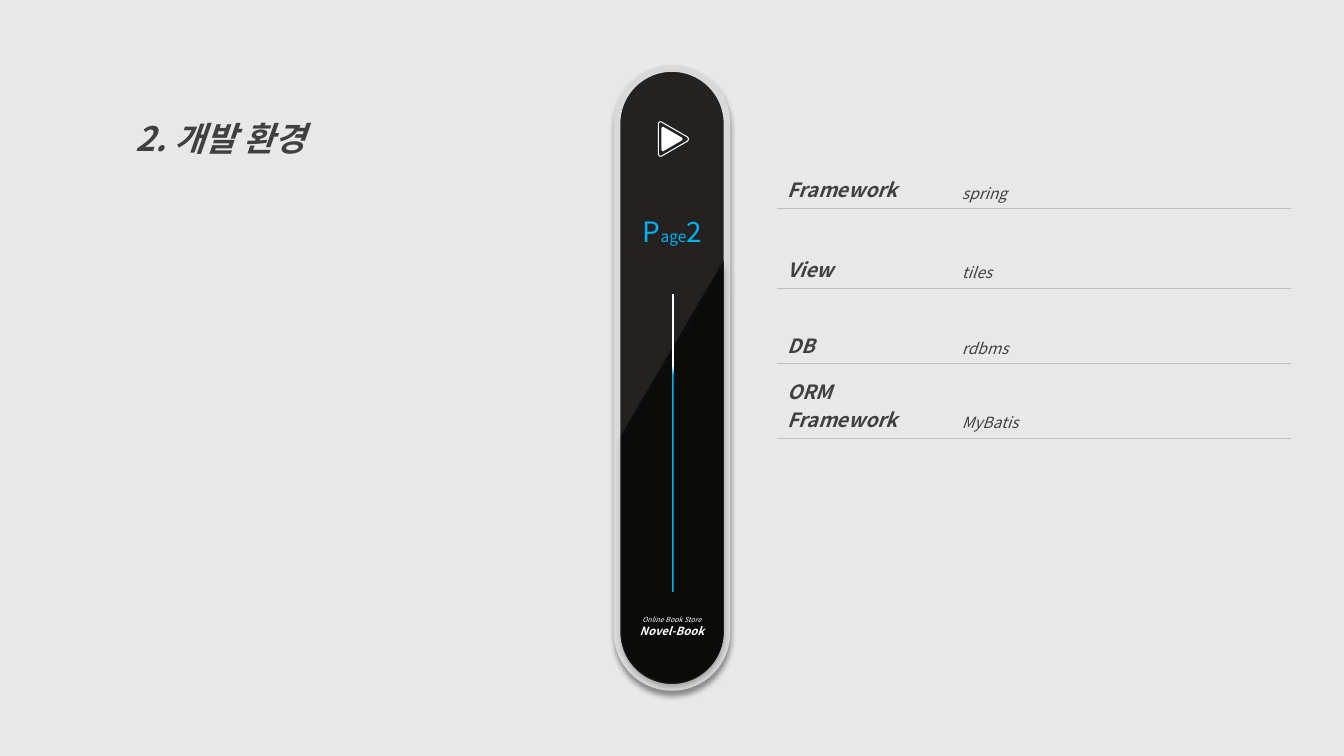
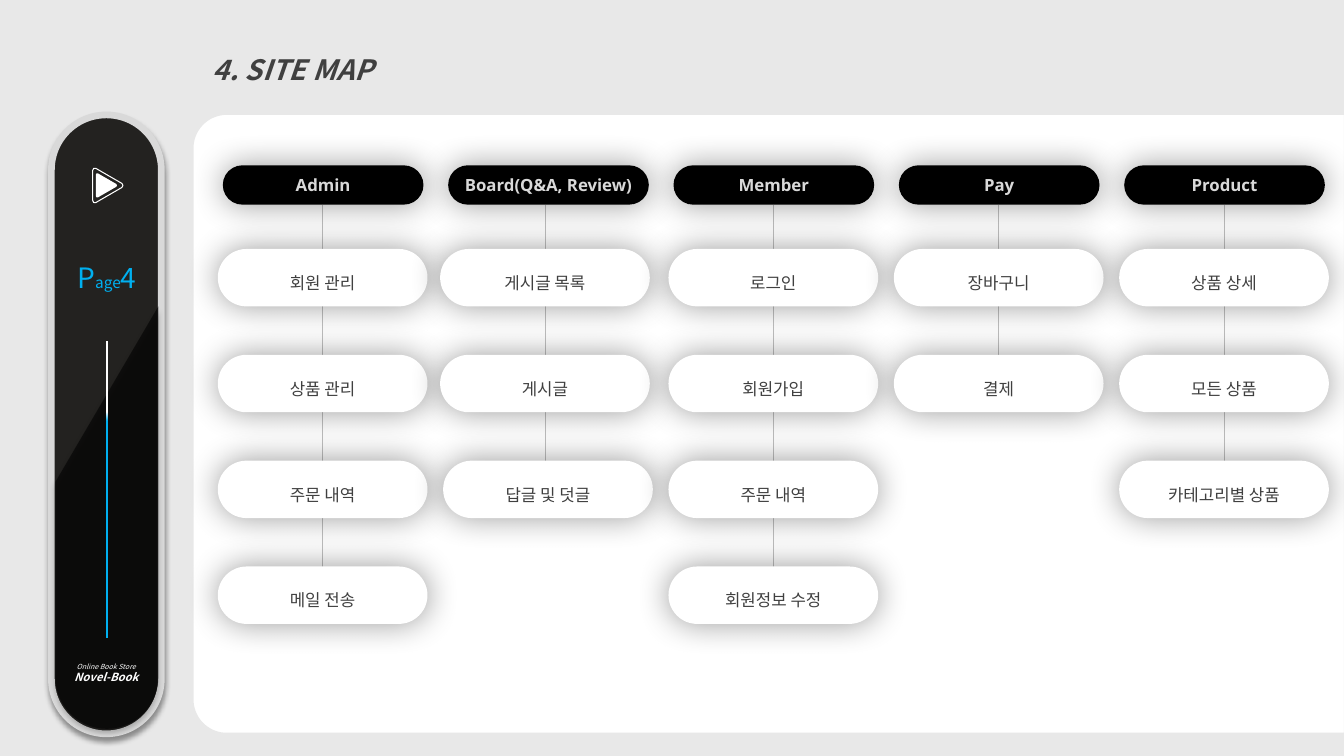
from dataclasses import dataclass
from math import cos, radians, sin
from typing import Any, NamedTuple

from lxml import etree
from pptx import Presentation
from pptx.dml.color import RGBColor
from pptx.enum.shapes import MSO_CONNECTOR, MSO_SHAPE
from pptx.enum.text import MSO_ANCHOR, PP_ALIGN
from pptx.oxml.ns import qn
from pptx.util import Inches, Pt

ROUNDED = MSO_SHAPE.ROUNDED_RECTANGLE
RECTANGLE = MSO_SHAPE.RECTANGLE
STRAIGHT = MSO_CONNECTOR.STRAIGHT
MIDDLE, BOTTOM = MSO_ANCHOR.MIDDLE, MSO_ANCHOR.BOTTOM
LEFT, CENTER = PP_ALIGN.LEFT, PP_ALIGN.CENTER

WIDTH, HEIGHT = 13.33, 7.5
KOREAN_FONT, LATIN_FONT = "Noto Sans CJK KR", "Open Sans"
PAPER, WHITE, BLACK = "E8E8E8", "FFFFFF", "000000"
INK, SILVER, RULE = "404040", "D9D9D9", "BFBFBF"
CHARCOAL, BLUE = "232220", "00B0F0"
NO_GRID_STYLE = "{2D5ABB26-0587-4C30-8999-92F81FD0307C}"

Point = tuple[float, float]


class Box(NamedTuple):
    left: float
    top: float
    width: float
    height: float


class Shadow(NamedTuple):
    blur: float
    distance: float
    angle: int


@dataclass(frozen=True)
class TextStyle:
    size: float
    color: str = INK
    bold: bool = False
    italic: bool = False
    font: str = KOREAN_FONT
    spacing: float = 1.0


@dataclass(frozen=True)
class SiteColumn:
    heading: str
    pages: tuple[str, ...]
    shifts: tuple[float, ...] = (0, 0, 0, 0)


BAR_SHADOW = Shadow(4, 3, 90)
PILL_SHADOW = Shadow(24, 0, 0)
SECTION_TITLE = TextStyle(24, bold=True, italic=True, spacing=1.5)
MAP_TITLE = TextStyle(20, bold=True, italic=True, spacing=1.5)
TAGLINE = TextStyle(5, WHITE, italic=True)
STORE_NAME = TextStyle(8, WHITE, bold=True, italic=True)
PAGE_LARGE = TextStyle(20, BLUE)
PAGE_SMALL = TextStyle(11, BLUE)
TOOL_KIND = TextStyle(14, bold=True, italic=True)
TOOL_NAME = TextStyle(11, italic=True, spacing=1.5)
HEADING = TextStyle(12, SILVER, bold=True, font=LATIN_FONT)
CARD = TextStyle(12, font=LATIN_FONT, spacing=1.5)

PLAY_OUTLINE = [(0.29, 0.15), (0.03, 0), (0.01, 0), (0, 0.02), (0, 0.32),
                (0.01, 0.34), (0.03, 0.34), (0.29, 0.19), (0.3, 0.17)]
TOOLS = [("Framework", "spring"), ("View", "tiles"), ("DB", "rdbms"), ("ORM Framework", "MyBatis")]
TOOL_ROWS = [0.86, 0.79, 0.75, 0.74]
TOOL_COLUMNS = [1.73, 3.36]
SITE_COLUMNS = [
    SiteColumn("Admin", ("회원 관리", "상품 관리", "주문 내역", "메일 전송")),
    SiteColumn("Board(Q&A, Review)", ("게시글 목록", "게시글", "답글 및 덧글"), (-0.03, -0.03, 0)),
    SiteColumn("Member", ("로그인", "회원가입", "주문 내역", "회원정보 수정")),
    SiteColumn("Pay", ("장바구니", "결제")),
    SiteColumn("Product", ("상품 상세", "모든 상품", "카테고리별 상품")),
]


def rgb(value: str) -> RGBColor:
    return RGBColor.from_string(value)


def assign(target: Any, values: dict[str, Any]) -> None:
    for name, value in values.items():
        setattr(target, name, value)


def add_run(paragraph: Any, text: str, style: TextStyle) -> None:
    run = paragraph.add_run()
    run.text = text
    assign(run.font, {"name": style.font, "size": Pt(style.size),
                      "bold": style.bold, "italic": style.italic})
    run.font.color.rgb = rgb(style.color)
    etree.SubElement(run.font._element, qn("a:ea"), typeface=KOREAN_FONT)


def write(frame: Any, lines: list[list[tuple[str, TextStyle]]], align: Any = LEFT) -> None:
    frame.word_wrap = True
    paragraph = frame.paragraphs[0]
    assign(paragraph, {"alignment": align, "line_spacing": lines[0][0][1].spacing})
    for index, line in enumerate(lines):
        if index:
            paragraph.add_line_break()
        for text, style in line:
            add_run(paragraph, text, style)


def add_text(slide: Any, box: Box, lines: list[list[tuple[str, TextStyle]]],
             align: Any = LEFT) -> None:
    textbox = slide.shapes.add_textbox(*map(Inches, box))
    write(textbox.text_frame, lines, align)


def paint(shape: Any, fill: str | None, line: str | None = None, line_width: float = 0,
          shadow: Shadow | None = None) -> None:
    if fill:
        shape.fill.solid()
        shape.fill.fore_color.rgb = rgb(fill)
    else:
        shape.fill.background()
    if line:
        shape.line.color.rgb = rgb(line)
        shape.line.width = Pt(line_width)
    else:
        shape.line.fill.background()
    shape.shadow.inherit = False
    if shadow:
        effects = shape.element.spPr.find(qn("a:effectLst"))
        outer = etree.SubElement(effects, qn("a:outerShdw"), blurRad=str(Pt(shadow.blur)),
                                 dist=str(Pt(shadow.distance)), dir=str(shadow.angle * 60000),
                                 algn="ctr", rotWithShape="0")
        color = etree.SubElement(outer, qn("a:srgbClr"), val=BLACK)
        etree.SubElement(color, qn("a:alpha"), val="40000")


def add_pill(slide: Any, box: Box, fill: str, **paint_values: Any) -> Any:
    pill = slide.shapes.add_shape(ROUNDED, *map(Inches, box))
    pill.adjustments[0] = 0.5
    paint(pill, fill, **paint_values)
    return pill


def add_label_pill(slide: Any, box: Box, fill: str, text: str, style: TextStyle) -> None:
    frame = add_pill(slide, box, fill, shadow=PILL_SHADOW).text_frame
    assign(frame, {"margin_left": 0, "margin_right": 0, "margin_top": 0,
                   "margin_bottom": 0, "vertical_anchor": MIDDLE})
    write(frame, [[(text, style)]], CENTER)


def add_outline(slide: Any, *contours: list[Point]) -> Any:
    scaled = [[(Inches(x), Inches(y)) for x, y in contour] for contour in contours]
    builder = slide.shapes.build_freeform(*scaled[0][0])
    builder.add_line_segments(scaled[0][1:], close=True)
    for contour in scaled[1:]:
        builder.move_to(*contour[0])
        builder.add_line_segments(contour[1:], close=True)
    return builder.convert_to_shape()


def arc(center: Point, radius: float, start: int, end: int) -> list[Point]:
    step = 5 if end > start else -5
    return [(center[0] + radius * cos(radians(angle)), center[1] + radius * sin(radians(angle)))
            for angle in range(start, end + step, step)]


def add_line(slide: Any, start: Point, end: Point) -> None:
    connector = slide.shapes.add_connector(STRAIGHT, *map(Inches, (*start, *end)))
    connector.line.color.rgb = rgb(RULE)
    connector.line.width = Pt(0.5)
    etree.SubElement(connector.element.spPr, qn("a:effectLst"))


def add_play_icon(slide: Any, left: float, top: float) -> None:
    def triangle(x: float, y: float, scale: float) -> Any:
        return add_outline(slide, [(x + dx * scale, y + dy * scale) for dx, dy in PLAY_OUTLINE])

    paint(triangle(left, top, 1), None, WHITE, 0.75)
    paint(triangle(left + 0.03, top + 0.05, 0.7), WHITE)


def add_page_bar(slide: Any, left: float, top: float, page: int) -> None:
    add_pill(slide, Box(left, top, 1.09, 6.14), CHARCOAL,
             line=SILVER, line_width=4.75, shadow=BAR_SHADOW)
    shade = add_outline(slide, [(left + 1.06, top + 1.9),
                                *arc((left + 0.55, top + 5.58), 0.51, 0, 180),
                                (left + 0.04, top + 3.64)])
    paint(shade, BLACK, shadow=BAR_SHADOW)
    shade_color = shade.element.spPr.find(qn("a:solidFill"))[0]
    etree.SubElement(shade_color, qn("a:alpha"), val="57000")

    track = slide.shapes.add_shape(RECTANGLE, *map(Inches, (left + 0.54, top + 2.24, 0.02, 2.95)))
    paint(track, BLUE)
    track.rotation = 180
    track.fill.gradient()
    track.fill.gradient_angle = 270
    for stop, position, color in zip(track.fill.gradient_stops, (0.73, 0.76), (BLUE, WHITE)):
        stop.position = position
        stop.color.rgb = rgb(color)

    add_text(slide, Box(left - 0.02, top + 5.38, 1.13, 0.32),
             [[("Online Book Store", TAGLINE)], [("Novel-Book", STORE_NAME)]], CENTER)
    add_text(slide, Box(left + 0.03, top + 1.4, 1.04, 0.44),
             [[("P", PAGE_LARGE), ("age", PAGE_SMALL), (str(page), PAGE_LARGE)]], CENTER)
    add_play_icon(slide, left + 0.41, top + 0.53)


def add_tool_table(slide: Any, left: float, top: float) -> None:
    box = Box(left, top, sum(TOOL_COLUMNS), sum(TOOL_ROWS))
    table = slide.shapes.add_table(len(TOOLS), 2, *map(Inches, box)).table
    assign(table, {"first_row": False, "horz_banding": False})
    table._tbl.tblPr.find(qn("a:tableStyleId")).text = NO_GRID_STYLE
    for column, width in zip(table.columns, TOOL_COLUMNS):
        column.width = Inches(width)
    for row, height, texts in zip(table.rows, TOOL_ROWS, TOOLS):
        row.height = Inches(height)
        for cell, text, style in zip(row.cells, texts, (TOOL_KIND, TOOL_NAME)):
            cell.vertical_anchor = BOTTOM
            cell.fill.background()
            write(cell.text_frame, [[(text, style)]])
            border = etree.Element(qn("a:lnB"), w=str(Pt(1)))
            border_fill = etree.SubElement(border, qn("a:solidFill"))
            etree.SubElement(border_fill, qn("a:srgbClr"), val=RULE)
            cell._tc.tcPr.insert(0, border)


def add_panel_frame(slide: Any) -> None:
    edge, top, bottom, radius = 2.25, 1.14, 7.27, 0.33
    outside = [(0, 0), (WIDTH, 0), (WIDTH, HEIGHT), (0, HEIGHT)]
    opening = [(WIDTH, top), *arc((edge, top + radius), radius, 270, 180),
               *arc((edge, bottom - radius), radius, 180, 90), (WIDTH, bottom)]
    paint(add_outline(slide, outside, opening), PAPER)


def add_site_column(slide: Any, column: SiteColumn, left: float) -> None:
    first_top, pitch, card_height = 2.47, 1.05, 0.57
    line_x = left + 0.99 + column.shifts[0]
    last_middle = first_top + pitch * (len(column.pages) - 1) + card_height / 2
    add_line(slide, (line_x, last_middle), (line_x, 2.03))
    add_label_pill(slide, Box(left, 1.64, 1.99, 0.39), BLACK, column.heading, HEADING)
    for index, (page, shift) in enumerate(zip(column.pages, column.shifts)):
        box = Box(left - 0.05 + shift, first_top + pitch * index, 2.08, card_height)
        add_label_pill(slide, box, WHITE, page, CARD)


def add_slide(presentation: Any, background: str) -> Any:
    slide = presentation.slides.add_slide(presentation.slide_layouts[6])
    slide.background.fill.solid()
    slide.background.fill.fore_color.rgb = rgb(background)
    return slide


def build_environment(presentation: Any) -> None:
    slide = add_slide(presentation, PAPER)
    add_page_bar(slide, 6.12, 0.68, 2)
    add_text(slide, Box(1.25, 0.92, 5.26, 0.63), [[("2. 개발 환경", SECTION_TITLE)]])
    add_tool_table(slide, 7.71, 1.21)


def build_site_map(presentation: Any) -> None:
    slide = add_slide(presentation, WHITE)
    add_panel_frame(slide)
    add_text(slide, Box(2.01, 0.31, 5.26, 0.55), [[("4. SITE MAP", MAP_TITLE)]])
    add_page_bar(slide, 0.51, 1.14, 4)
    first, last = 2.21, 11.15
    pitch = (last - first) / (len(SITE_COLUMNS) - 1)
    for index, column in enumerate(SITE_COLUMNS):
        add_site_column(slide, column, first + pitch * index)


def main() -> None:
    presentation = Presentation()
    assign(presentation, {"slide_width": Inches(WIDTH), "slide_height": Inches(HEIGHT)})
    build_environment(presentation)
    build_site_map(presentation)
    presentation.save("out.pptx")


main()
